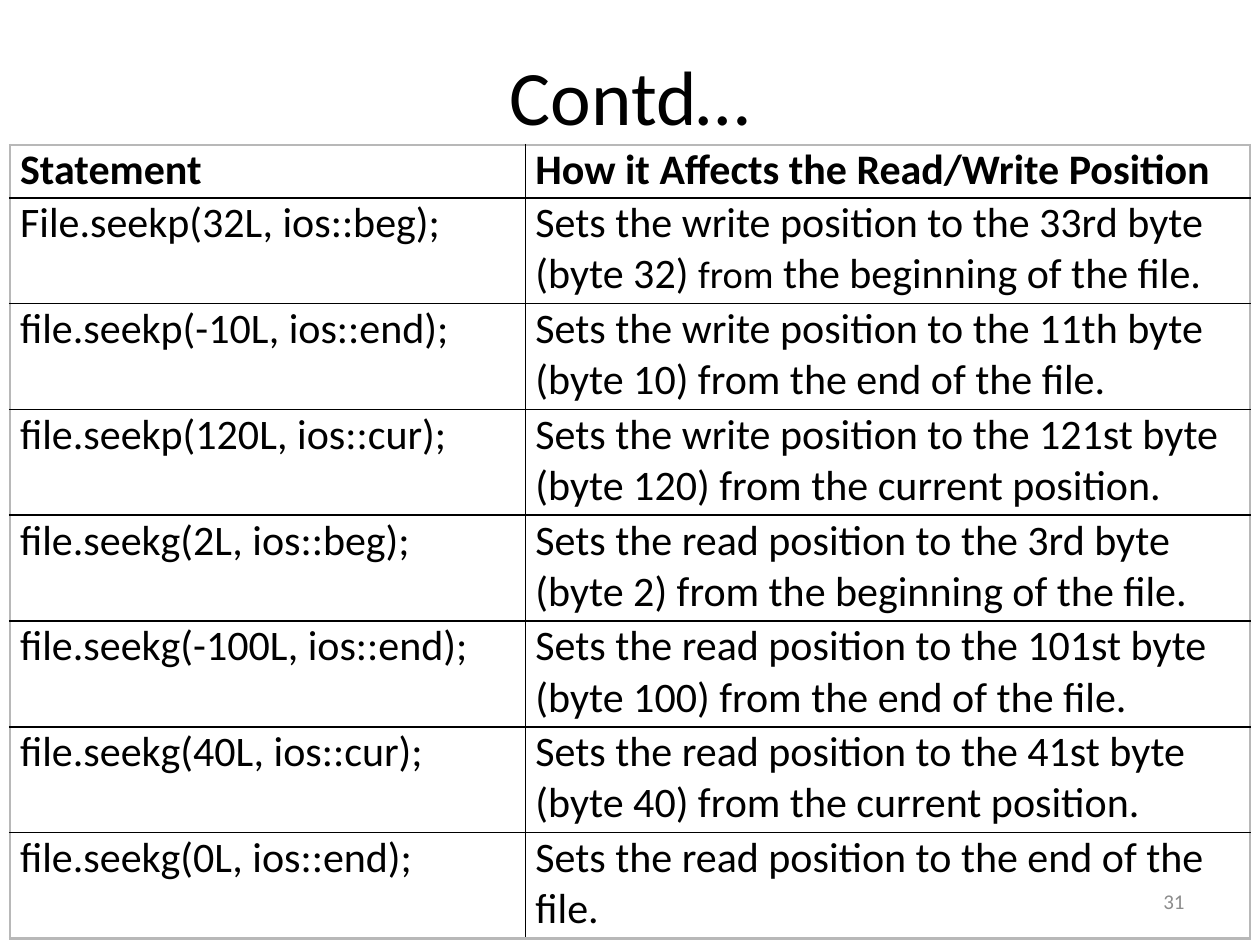
from lxml import etree
from pptx import Presentation
from pptx.dml.color import RGBColor
from pptx.enum.text import MSO_ANCHOR, PP_ALIGN
from pptx.oxml.ns import qn
from pptx.util import Inches, Pt

MIDDLE = MSO_ANCHOR.MIDDLE
CENTER, RIGHT = PP_ALIGN.CENTER, PP_ALIGN.RIGHT
BLACK = RGBColor(0x00, 0x00, 0x00)
GRAY = RGBColor(0x8C, 0x8C, 0x8C)
BORDER_GRAY = RGBColor(0xB8, 0xB8, 0xB8)
FONT = "Calibri"
BODY_SIZE, SMALL_SIZE = 24, 22

TITLE = "Contd…"
PAGE_NUMBER = "31"
HEADER = ("Statement", "How it Affects the Read/Write Position")
# A cell is a string, or a list of (text, size) spans.
STATEMENTS = [
    ("File.seekp(32L, ios::beg);", [
        ("Sets the write position to the 33rd byte (byte 32) ", BODY_SIZE),
        ("from", SMALL_SIZE),
        (" the beginning of the file.", BODY_SIZE),
    ]),
    ("file.seekp(-10L, ios::end);",
     "Sets the write position to the 11th byte (byte 10) from the end of the file."),
    ("file.seekp(120L, ios::cur);",
     "Sets the write position to the 121st byte (byte 120) from the current position."),
    ("file.seekg(2L, ios::beg);",
     "Sets the read position to the 3rd byte (byte 2) from the beginning of the file."),
    ("file.seekg(-100L, ios::end);",
     "Sets the read position to the 101st byte (byte 100) from the end of the file."),
    ("file.seekg(40L, ios::cur);",
     "Sets the read position to the 41st byte (byte 40) from the current position."),
    ("file.seekg(0L, ios::end);",
     "Sets the read position to the end of the file."),
]
COLUMN_WIDTHS = (4.09, 5.75)
HEADER_HEIGHT, ROW_HEIGHT = 0.42, 0.84
TABLE_LEFT, TABLE_TOP = 0.08, 1.15
CELL_INDENT = 0.08


def style(span, size, color=BLACK, bold=False):
    span.font.name = FONT
    span.font.size = Pt(size)
    span.font.color.rgb = color
    span.font.bold = bold


def add_label(page, text, place, size, align, color):
    box = page.shapes.add_textbox(*map(Inches, place))
    frame = box.text_frame
    frame.word_wrap = True
    frame.vertical_anchor = MIDDLE
    frame.text = text
    para = frame.paragraphs[0]
    para.alignment = align
    style(para.runs[0], size, color)


def set_border(cell, side, color, width):
    line = etree.SubElement(cell._tc.get_or_add_tcPr(), qn(f"a:ln{side}"),
                            w=str(Pt(width)))
    fill = etree.SubElement(line, qn("a:solidFill"))
    etree.SubElement(fill, qn("a:srgbClr"), val=str(color))


def fill_cell(cell, content, bold, outer_sides):
    cell.margin_left = cell.margin_right = Inches(CELL_INDENT)
    cell.margin_top = cell.margin_bottom = 0
    para = cell.text_frame.paragraphs[0]
    spans = [(content, BODY_SIZE)] if isinstance(content, str) else content
    for text, size in spans:
        span = para.add_run()
        span.text = text
        style(span, size, bold=bold)
    for side in "LRTB":
        if side in outer_sides:
            set_border(cell, side, BORDER_GRAY, 1.5)
        else:
            set_border(cell, side, BLACK, 1)
    cell.fill.background()


def add_statement_table(page):
    rows = [HEADER] + STATEMENTS
    heights = [HEADER_HEIGHT] + [ROW_HEIGHT] * len(STATEMENTS)
    frame = page.shapes.add_table(
        len(rows), len(HEADER), Inches(TABLE_LEFT), Inches(TABLE_TOP),
        Inches(sum(COLUMN_WIDTHS)), Inches(sum(heights)))
    table = frame.table
    table.horz_banding = False
    for column, width in zip(table.columns, COLUMN_WIDTHS):
        column.width = Inches(width)
    for r, (contents, height) in enumerate(zip(rows, heights)):
        table.rows[r].height = Inches(height)
        for c, content in enumerate(contents):
            edges = {"L": c == 0, "R": c == len(HEADER) - 1,
                     "T": r == 0, "B": r == len(rows) - 1}
            outer_sides = [side for side, is_outer in edges.items() if is_outer]
            fill_cell(table.cell(r, c), content, r == 0, outer_sides)


def main():
    deck = Presentation()
    deck.slide_width, deck.slide_height = Inches(10), Inches(7.5)
    page = deck.slides.add_slide(deck.slide_layouts[6])
    add_label(page, TITLE, (0.08, 0.13, 9.84, 1.25), 44, CENTER, BLACK)
    add_label(page, PAGE_NUMBER, (7.17, 6.95, 2.33, 0.4), 12, RIGHT, GRAY)
    add_statement_table(page)
    deck.save("out.pptx")


if __name__ == "__main__":
    main()
